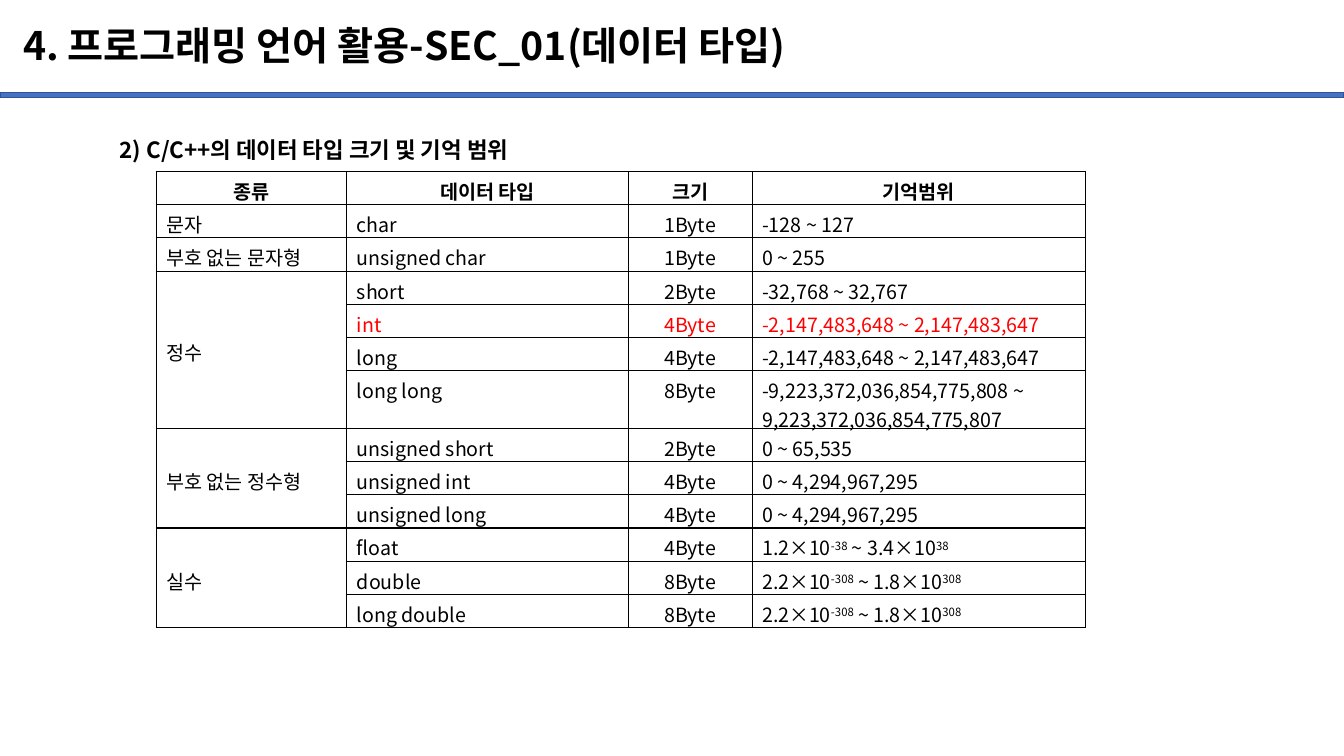
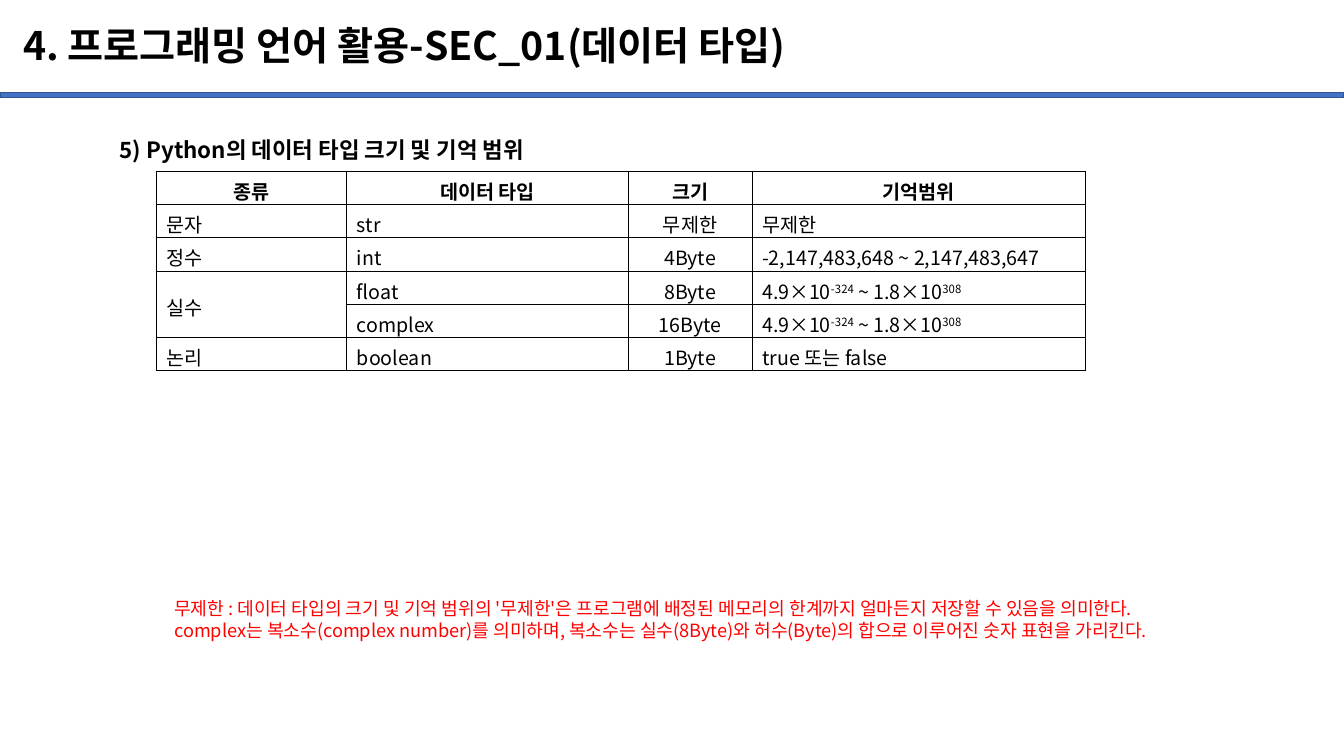
from dataclasses import dataclass
from typing import Any

from lxml.etree import SubElement
from pptx import Presentation
from pptx.dml.color import RGBColor
from pptx.enum.shapes import MSO_SHAPE
from pptx.enum.text import MSO_ANCHOR as Anchor, MSO_AUTO_SIZE as AutoSize, PP_ALIGN as Align
from pptx.oxml.ns import qn
from pptx.util import Inches, Pt

COLORS = {"text": "000000", "accent": "FF0000", "band": "4472C4", "band_edge": "325491"}
FONT = "Noto Sans CJK KR"
TITLE = "4. 프로그래밍 언어 활용-SEC_01(데이터 타입)"
HEADERS = ("종류", "데이터 타입", "크기", "기억범위")
COLUMN_WIDTHS = (1.89, 2.79, 1.23, 3.31)
ROW_HEIGHT = 0.33
TALL_ROW_HEIGHT = 0.57
CELL_MARGINS = {"margin_top": Inches(0.05), "margin_bottom": Inches(0)}
TALL_MARGINS = {"margin_top": Inches(0.05), "margin_bottom": Inches(-0.05)}
TITLE_BOX = {"left": Inches(0.13), "top": Inches(0.1), "width": Inches(12.68), "height": Inches(0.74)}
TITLE_FRAME = {"vertical_anchor": Anchor.MIDDLE, "auto_size": AutoSize.NONE, "word_wrap": True}
STYLES = {
    "title": {"size": Pt(28), "bold": True},
    "heading": {"size": Pt(16), "bold": True},
    "header": {"size": Pt(14), "bold": True},
    "cell": {"size": Pt(14), "bold": False},
    "note": {"size": Pt(13), "bold": False},
}


@dataclass(frozen=True)
class DataType:
    name: str
    size: str
    limits: str
    color: str = "text"


@dataclass(frozen=True)
class Group:
    kind: str
    types: tuple[DataType, ...]


@dataclass(frozen=True)
class Topic:
    heading: str
    groups: tuple[Group, ...]
    notes: tuple[str, ...] = ()


INT_RANGE = "-2,147,483,648 ~ 2,147,483,647"
UINT_RANGE = "0 ~ 4,294,967,295"
DOUBLE_RANGE = "2.2×10^-308^ ~ 1.8×10^308^"
PYTHON_FLOAT_RANGE = "4.9×10^-324^ ~ 1.8×10^308^"

TOPICS = (
    Topic(
        "2) C/C++의 데이터 타입 크기 및 기억 범위",
        (
            Group("문자", (DataType("char", "1Byte", "-128 ~ 127"),)),
            Group("부호 없는 문자형", (DataType("unsigned char", "1Byte", "0 ~ 255"),)),
            Group("정수", (
                DataType("short", "2Byte", "-32,768 ~ 32,767"),
                DataType("int", "4Byte", INT_RANGE, "accent"),
                DataType("long", "4Byte", INT_RANGE),
                DataType("long long", "8Byte", "-9,223,372,036,854,775,808 ~\n9,223,372,036,854,775,807"),
            )),
            Group("부호 없는 정수형", (
                DataType("unsigned short", "2Byte", "0 ~ 65,535"),
                DataType("unsigned int", "4Byte", UINT_RANGE),
                DataType("unsigned long", "4Byte", UINT_RANGE),
            )),
            Group("실수", (
                DataType("float", "4Byte", "1.2×10^-38^ ~ 3.4×10^38^"),
                DataType("double", "8Byte", DOUBLE_RANGE),
                DataType("long double", "8Byte", DOUBLE_RANGE),
            )),
        ),
    ),
    Topic(
        "5) Python의 데이터 타입 크기 및 기억 범위",
        (
            Group("문자", (DataType("str", "무제한", "무제한"),)),
            Group("정수", (DataType("int", "4Byte", INT_RANGE),)),
            Group("실수", (
                DataType("float", "8Byte", PYTHON_FLOAT_RANGE),
                DataType("complex", "16Byte", PYTHON_FLOAT_RANGE),
            )),
            Group("논리", (DataType("boolean", "1Byte", "true 또는 false"),)),
        ),
        (
            "무제한 : 데이터 타입의 크기 및 기억 범위의 '무제한'은 프로그램에 배정된 메모리의 한계까지 얼마든지 저장할 수 있음을 의미한다.",
            "complex는 복소수(complex number)를 의미하며, 복소수는 실수(8Byte)와 허수(Byte)의 합으로 이루어진 숫자 표현을 가리킨다.",
        ),
    ),
)


def apply(target: Any, values: dict[str, Any]) -> None:
    for name, value in values.items():
        setattr(target, name, value)


def rgb(color: str) -> RGBColor:
    return RGBColor.from_string(COLORS[color])


def write(frame: Any, text: str, style: str, color: str = "text",
          align: Any = Align.LEFT, spacing: float = 1.0) -> None:
    for index, line in enumerate(text.split("\n")):
        paragraph = frame.add_paragraph() if index else frame.paragraphs[0]
        apply(paragraph, {"alignment": align, "line_spacing": spacing})
        for part, content in enumerate(line.split("^")):
            if not content:
                continue
            run = paragraph.add_run()
            run.text = content
            apply(run.font, {"name": FONT, **STYLES[style]})
            run.font.color.rgb = rgb(color)
            properties = run.font._element
            SubElement(properties, qn("a:ea"), typeface=FONT)
            if part % 2:
                properties.set("baseline", "30000")


def add_text(slide: Any, box: tuple[float, ...], text: str, style: str,
             color: str = "text", spacing: float = 1.0) -> None:
    frame = slide.shapes.add_textbox(*map(Inches, box)).text_frame
    frame.word_wrap = True
    write(frame, text, style, color, spacing=spacing)


def format_cell(cell: Any, margins: dict[str, Any]) -> None:
    apply(cell, margins)
    properties = cell._tc.get_or_add_tcPr()
    for side in ("a:lnL", "a:lnR", "a:lnT", "a:lnB"):
        border = SubElement(properties, qn(side), w=str(Pt(1)))
        fill = SubElement(border, qn("a:solidFill"))
        SubElement(fill, qn("a:srgbClr"), val=COLORS["text"])
    cell.fill.background()


def add_type_table(slide: Any, groups: tuple[Group, ...]) -> None:
    data_types = [data_type for group in groups for data_type in group.types]
    tall = ["\n" in data_type.limits for data_type in data_types]
    heights = [ROW_HEIGHT] + [TALL_ROW_HEIGHT if is_tall else ROW_HEIGHT for is_tall in tall]
    table = slide.shapes.add_table(
        len(heights), len(HEADERS), Inches(1.55), Inches(1.7),
        Inches(sum(COLUMN_WIDTHS)), Inches(sum(heights))).table
    apply(table, {"first_row": False, "horz_banding": False})
    for column, width in zip(table.columns, COLUMN_WIDTHS):
        column.width = Inches(width)
    for row, height in zip(table.rows, heights):
        row.height = Inches(height)
        for cell in row.cells:
            format_cell(cell, TALL_MARGINS if height == TALL_ROW_HEIGHT else CELL_MARGINS)
    for column, header in enumerate(HEADERS):
        write(table.cell(0, column).text_frame, header, "header", align=Align.CENTER)
    for row, item in enumerate(data_types, 1):
        values = ((item.name, Align.LEFT), (item.size, Align.CENTER), (item.limits, Align.LEFT))
        for column, (text, align) in enumerate(values, 1):
            write(table.cell(row, column).text_frame, text, "cell", item.color, align)
    first = 1
    for group in groups:
        last = first + len(group.types) - 1
        kind = table.cell(first, 0)
        if last > first:
            kind.merge(table.cell(last, 0))
        kind.vertical_anchor = Anchor.MIDDLE
        write(kind.text_frame, group.kind, "cell")
        first = last + 1


def add_band(layout: Any, slide: Any, width: int) -> None:
    band = slide.shapes.add_shape(MSO_SHAPE.RECTANGLE, 0, Inches(0.92), width, Inches(0.05))
    band.shadow.inherit = False
    band.fill.solid()
    band.fill.fore_color.rgb = rgb("band")
    band.line.color.rgb = rgb("band_edge")
    band.line.width = Pt(1)
    layout.shapes._spTree.append(band._element)


def add_topic(deck: Any, layout: Any, topic: Topic) -> Any:
    slide = deck.slides.add_slide(layout)
    title = slide.shapes.title
    apply(title, TITLE_BOX)
    apply(title.text_frame, TITLE_FRAME)
    write(title.text_frame, TITLE, "title", spacing=0.9)
    add_text(slide, (1.09, 1.17, 12.03, 0.5), topic.heading, "heading", spacing=1.5)
    add_type_table(slide, topic.groups)
    if topic.notes:
        add_text(slide, (1.63, 5.88, 10.32, 0.98), "\n".join(topic.notes), "note", "accent")
    return slide


def main() -> None:
    deck = Presentation()
    apply(deck, {"slide_width": Inches(13.33), "slide_height": Inches(7.5)})
    layout = deck.slide_layouts.get_by_name("Title Only")
    slides = [add_topic(deck, layout, topic) for topic in TOPICS]
    add_band(layout, slides[0], deck.slide_width)
    deck.save("out.pptx")


if __name__ == "__main__":
    main()
